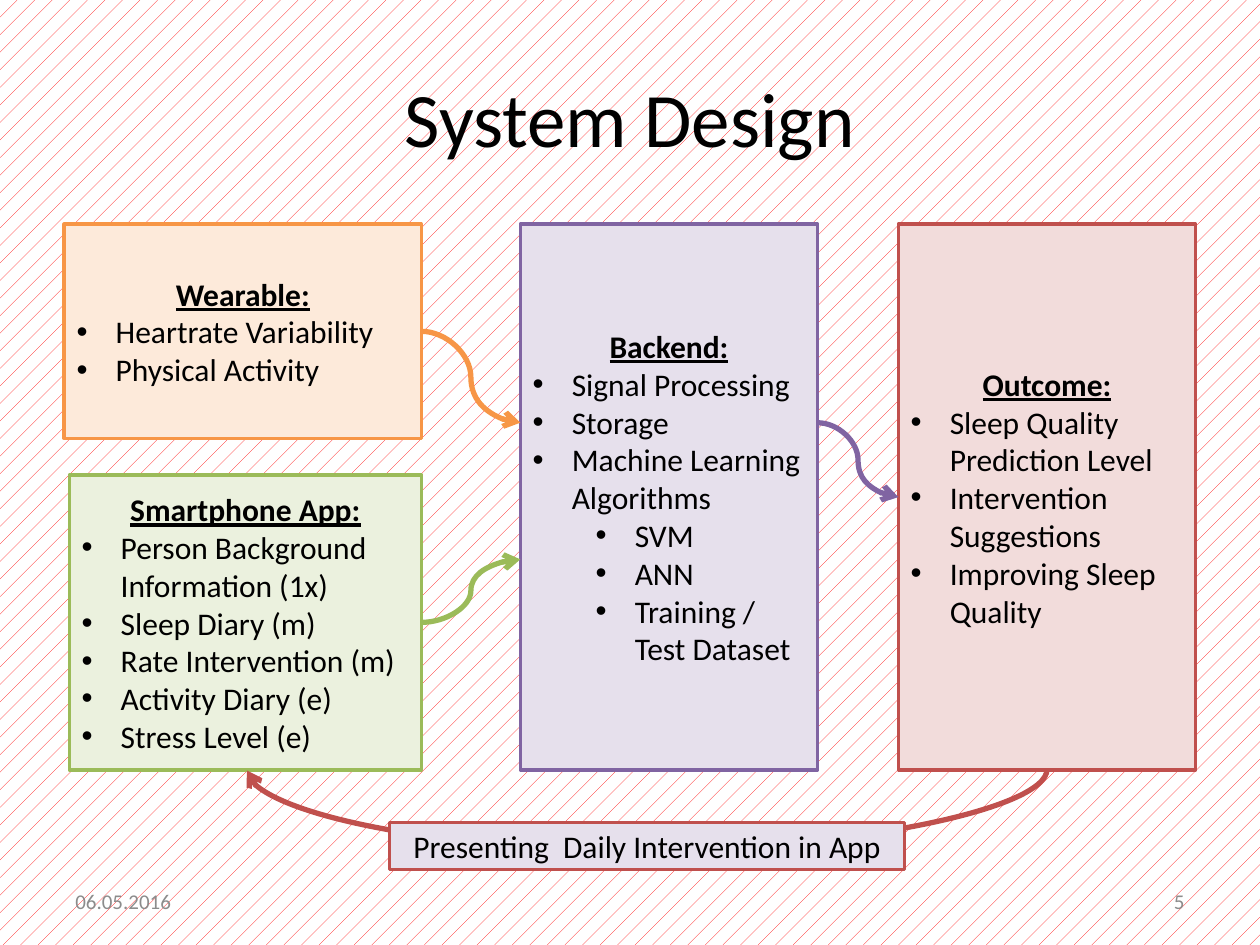
from lxml.etree import SubElement
from pptx import Presentation
from pptx.dml.color import RGBColor
from pptx.enum.dml import MSO_PATTERN
from pptx.enum.shapes import MSO_CONNECTOR, MSO_SHAPE
from pptx.enum.text import MSO_ANCHOR, PP_ALIGN
from pptx.oxml.ns import qn
from pptx.util import Inches, Pt

COLUMNS, ROWS = 100, 75
WIDTH, HEIGHT = Inches(10), Inches(7.5)
FONT = "Calibri"
COLORS = {
    "black": "000000", "white": "FFFFFF", "gray": "8C8C8C", "hatch": "FF0000",
    "purple": "8064A2", "lilac": "E6E0EC", "red": "C0504D", "rose": "F2DCDB",
    "orange": "F79646", "peach": "FDEADA", "green": "9BBB59", "mint": "EBF1DE",
}
TOP, BOTTOM = 17.8, 61.1
BACKEND_LEFT, OUTCOME_LEFT, COLUMN_WIDTH = 41.3, 71.3, 23.6
SOURCES_RIGHT = 33.45

COMPONENTS = [
    ("Backend:", (BACKEND_LEFT, TOP, COLUMN_WIDTH, BOTTOM - TOP), "lilac", "purple",
     [(0, "Signal Processing"), (0, "Storage"), (0, "Machine Learning Algorithms"),
      (1, "SVM"), (1, "ANN"), (1, "Training / Test Dataset")]),
    ("Outcome:", (OUTCOME_LEFT, TOP, COLUMN_WIDTH, BOTTOM - TOP), "rose", "red",
     [(0, "Sleep Quality Prediction Level"), (0, "Intervention Suggestions"),
      (0, "Improving Sleep Quality")]),
    ("Wearable:", (5.1, TOP, SOURCES_RIGHT - 5.1, 17), "peach", "orange",
     [(0, "Heartrate Variability"), (0, "Physical Activity")]),
    ("Smartphone App:", (5.5, 37.7, SOURCES_RIGHT - 5.5, BOTTOM - 37.7), "mint", "green",
     [(0, "Person Background Information (1x)"), (0, "Sleep Diary (m)"),
      (0, "Rate Intervention (m)"), (0, "Activity Diary (e)"), (0, "Stress Level (e)")]),
]
FLOWS = [
    ((SOURCES_RIGHT, 26.3), (BACKEND_LEFT, 33.55), "orange"),
    ((SOURCES_RIGHT, 49.4), (BACKEND_LEFT, 44.4), "green"),
    ((BACKEND_LEFT + COLUMN_WIDTH, 33.55), (OUTCOME_LEFT, 39.45), "purple"),
]


def color(name):
    """Return the named colour."""
    return RGBColor.from_string(COLORS[name])


def place(*cells):
    """Turn alternating column and row counts into slide lengths."""
    units = (WIDTH / COLUMNS, HEIGHT / ROWS)
    return [round(cell * units[i % 2]) for i, cell in enumerate(cells)]


def add_run(paragraph, wording, size=18, ink="black", heading=False):
    """Append one styled run to a paragraph."""
    run = paragraph.add_run()
    run.text = wording
    run.font.name, run.font.size = FONT, Pt(size)
    run.font.color.rgb = color(ink)
    run.font.bold = run.font.underline = heading


def add_label(slide, wording, area, size, ink="black", align=PP_ALIGN.LEFT):
    """Add a one-line unboxed text."""
    frame = slide.shapes.add_textbox(*place(*area)).text_frame
    frame.word_wrap = True
    frame.vertical_anchor = MSO_ANCHOR.MIDDLE
    frame.paragraphs[0].alignment = align
    add_run(frame.paragraphs[0], wording, size, ink)


def add_box(slide, wording, area, fill, border, heading=False):
    """Add a bordered box with a centred first line and return its text frame."""
    box = slide.shapes.add_shape(MSO_SHAPE.RECTANGLE, *place(*area))
    box.shadow.inherit = False
    box.fill.solid()
    box.fill.fore_color.rgb = color(fill)
    box.line.color.rgb = color(border)
    box.line.width = Pt(2)
    frame = box.text_frame
    frame.word_wrap = True
    frame.vertical_anchor = MSO_ANCHOR.MIDDLE
    frame.paragraphs[0].alignment = PP_ALIGN.CENTER
    add_run(frame.paragraphs[0], wording, heading=heading)
    return frame


def add_bullet(frame, level, wording):
    """Add a bulleted line with a hanging indent."""
    paragraph = frame.add_paragraph()
    paragraph.alignment = PP_ALIGN.LEFT
    paragraph.level = level
    properties = paragraph._p.get_or_add_pPr()
    properties.set("marL", str(Inches(0.31 + 0.5 * level)))
    properties.set("indent", str(Inches(-0.31)))
    SubElement(properties, qn("a:buFont"), typeface="Arial")
    SubElement(properties, qn("a:buChar"), char="•")
    add_run(paragraph, wording)


def add_flow(slide, start, end, ink):
    """Add a curved arrow and return it."""
    flow = slide.shapes.add_connector(MSO_CONNECTOR.CURVE, *place(*start, *end))
    flow.line.color.rgb = color(ink)
    flow.line.width = Pt(3)
    SubElement(flow.line._get_or_add_ln(), qn("a:tailEnd"), type="arrow")
    SubElement(flow._element.spPr, qn("a:effectLst"))
    return flow


def add_feedback(slide, start_column, end_column, row, depth, ink):
    """Add an arrow that sags below a row, from right to left."""
    center, half_span = (start_column + end_column) / 2, (start_column - end_column) / 2
    thickness = 0.1
    flow = add_flow(slide, (center - thickness / 2, row - half_span),
                    (center + thickness / 2, row + half_span), ink)
    properties = flow._element.spPr
    properties.find(qn("a:xfrm")).set("rot", str(90 * 60000))
    geometry = properties.find(qn("a:prstGeom"))
    adjustments = geometry.find(qn("a:avLst"))
    if adjustments is None:
        adjustments = SubElement(geometry, qn("a:avLst"))
    SubElement(adjustments, qn("a:gd"), name="adj1",
               fmla=f"val {round(depth / thickness * 100000)}")


def paint_background(slide):
    """Fill the slide with a red pattern on white."""
    fill = slide.background.fill
    fill.patterned()
    fill.pattern = MSO_PATTERN.PERCENT_5
    fill.fore_color.rgb = color("hatch")
    fill.back_color.rgb = color("white")


def main():
    """Build and save the system design slide."""
    deck = Presentation()
    deck.slide_width, deck.slide_height = WIDTH, HEIGHT
    slide = deck.slides.add_slide(deck.slide_layouts[6])
    paint_background(slide)
    add_label(slide, "System Design", (5, 3, 90, 12.5), 44, align=PP_ALIGN.CENTER)
    add_label(slide, "06.05.2016", (5, 69.5, 23.3, 4), 12, "gray")
    add_label(slide, "5", (71.7, 69.5, 23.3, 4), 12, "gray", PP_ALIGN.RIGHT)
    for heading, area, fill, border, points in COMPONENTS:
        frame = add_box(slide, heading, area, fill, border, heading=True)
        for level, point in points:
            add_bullet(frame, level, point)
    for start, end, ink in FLOWS:
        add_flow(slide, start, end, ink)
    add_feedback(slide, OUTCOME_LEFT + COLUMN_WIDTH / 2, 19.6, BOTTOM, 6.5, "red")
    add_box(slide, "Presenting  Daily Intervention in App", (30.9, 65.3, 40.9, 3.7),
            "lilac", "red")
    deck.save("out.pptx")


if __name__ == "__main__":
    main()
